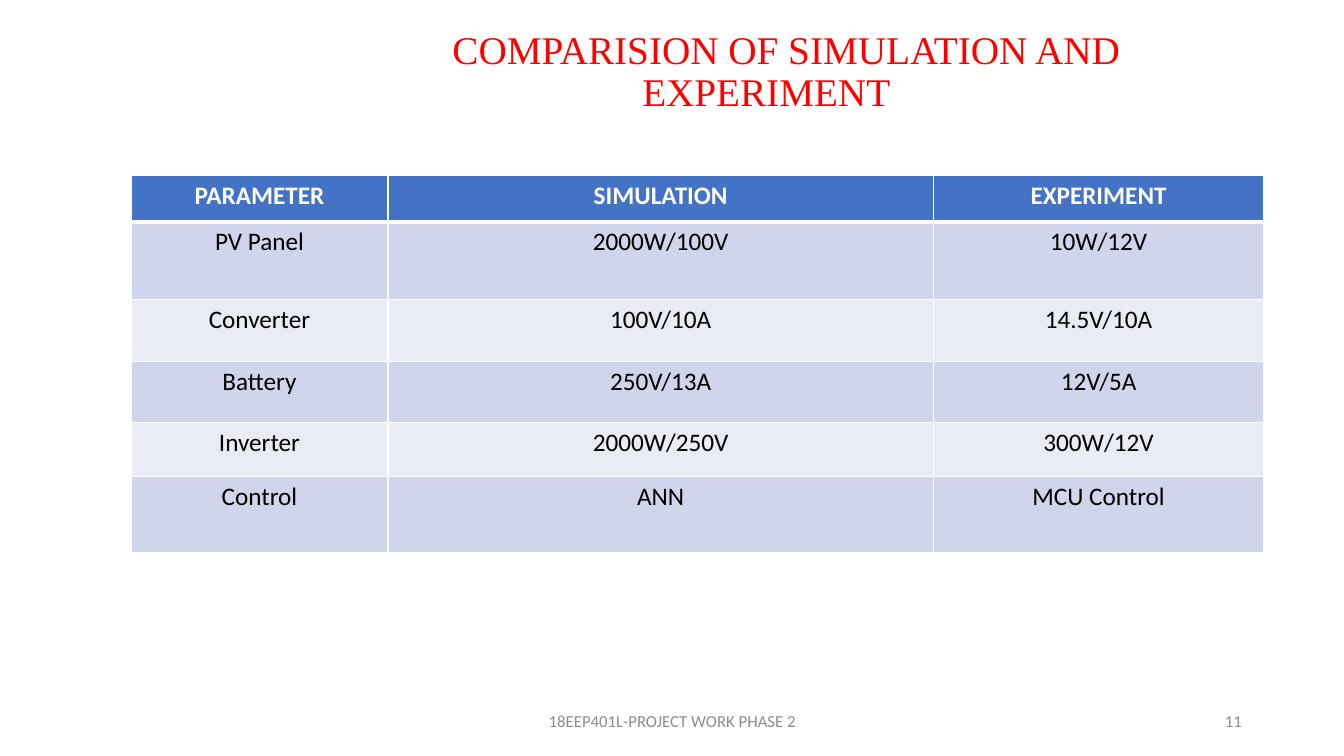
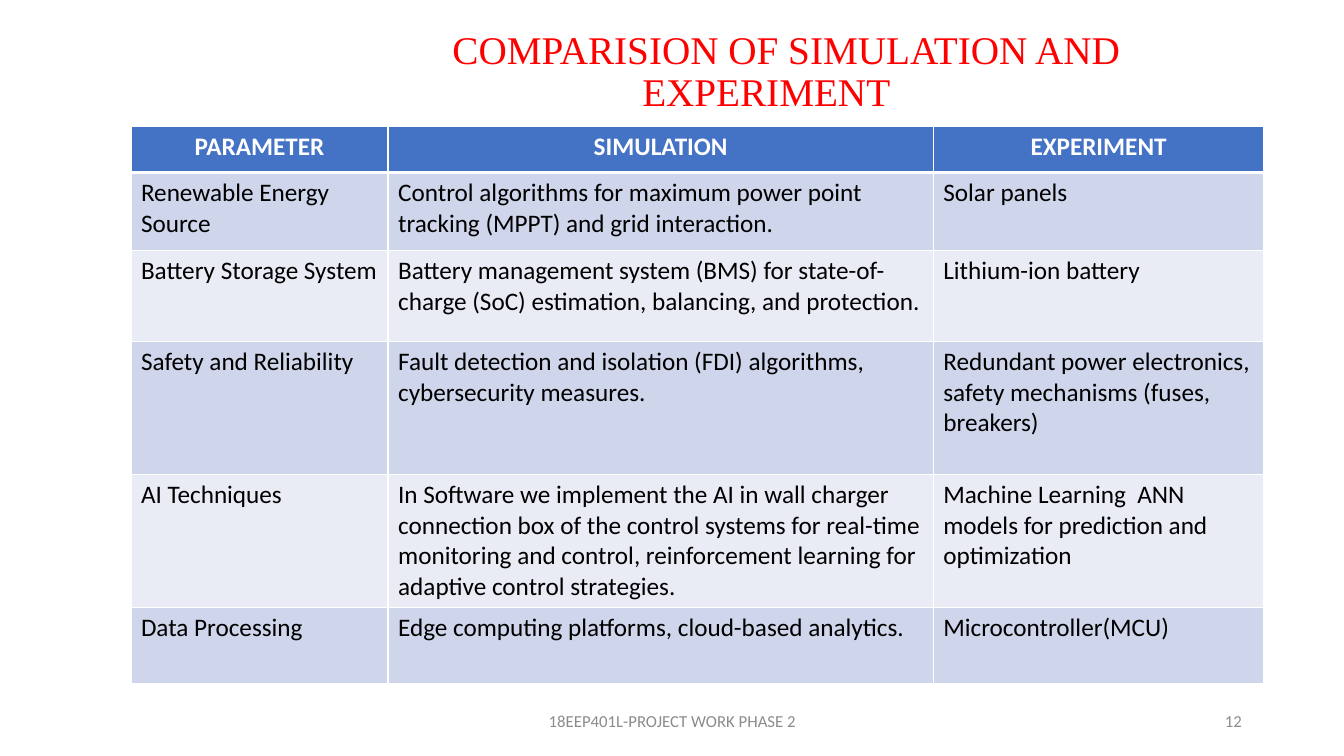
import pptx
import pptx.util
import pptx.dml.color
import pptx.enum.text
import pptx.oxml

Cm, Pt = pptx.util.Cm, pptx.util.Pt
ALIGN = pptx.enum.text.PP_ALIGN
MID = pptx.enum.text.MSO_ANCHOR.MIDDLE

# Content
TITLE = "COMPARISION OF SIMULATION AND EXPERIMENT"
FOOTER = "18EEP401L-PROJECT WORK PHASE 2"
HEAD = ("PARAMETER", "SIMULATION", "EXPERIMENT")
SLIDES = [
    {
        "page": 11,
        "top": 4.42,
        "align": ALIGN.CENTER,
        "heights": (1.17, 1.96, 1.55, 1.55, 1.35, 1.93),
        "rows": [
            ("PV Panel", "2000W/100V", "10W/12V"),
            ("Converter", "100V/10A", "14.5V/10A"),
            ("Battery", "250V/13A", "12V/5A"),
            ("Inverter", "2000W/250V", "300W/12V"),
            ("Control", "ANN", "MCU Control"),
        ],
    },
    {
        "page": 12,
        "top": 3.18,
        "align": ALIGN.LEFT,
        "heights": (1.17, 1.96, 2.29, 3.35, 3.35, 1.93),
        "rows": [
            ("Renewable Energy Source",
             "Control algorithms for maximum power point tracking (MPPT) "
             "and grid interaction.",
             "Solar panels"),
            ("Battery Storage System",
             "Battery management system (BMS) for state-of-charge (SoC) "
             "estimation, balancing, and protection.",
             "Lithium-ion battery"),
            ("Safety and Reliability",
             "Fault detection and isolation (FDI) algorithms, "
             "cybersecurity measures.",
             "Redundant power electronics, safety mechanisms "
             "(fuses, breakers)"),
            ("AI Techniques",
             "In Software we implement the AI in wall charger connection box "
             "of the control systems for real-time monitoring and control, "
             "reinforcement learning for adaptive control strategies.",
             "Machine Learning  ANN models for prediction and optimization"),
            ("Data Processing",
             "Edge computing platforms, cloud-based analytics.",
             "Microcontroller(MCU)"),
        ],
    },
]

# Shared style
COLORS = {"title": "FF0000", "foot": "8C8C8C", "head": "4472C4",
          "odd": "CFD5EA", "even": "E9EBF5", "line": "FFFFFF",
          "light": "FFFFFF", "text": "000000"}
SANS, SERIF = "Calibri", "Times New Roman"
WIDTHS = (6.48, 13.74, 8.33)
LEFT = 3.3


def rgb(name):
    return pptx.dml.color.RGBColor.from_string(COLORS[name])


def style(para, size, color, align, face=SANS, bold=False):
    para.alignment = align
    for run in para.runs:
        font = run.font
        font.name, font.size, font.bold = face, Pt(size), bold
        font.color.rgb = rgb(color)


def add_title(slide):
    title = slide.shapes.title
    title.left, title.top = Cm(7.37), Cm(0)
    title.width, title.height = Cm(23.88), Cm(3.68)
    frame = title.text_frame
    frame.text = TITLE
    frame.auto_size = pptx.enum.text.MSO_AUTO_SIZE.NONE
    frame.vertical_anchor = MID
    para = frame.paragraphs[0]
    para.line_spacing = 0.9
    # First line sits slightly right of centre
    props = para._p.get_or_add_pPr()
    props.set("marL", "0")
    props.set("indent", str(Cm(1)))
    style(para, 28, "title", ALIGN.CENTER, SERIF)


def add_foot(slide, text, left, width, align):
    box = slide.shapes.add_textbox(Cm(left), Cm(17.65), Cm(width), Cm(1.02))
    frame = box.text_frame
    frame.word_wrap = True
    frame.vertical_anchor = MID
    frame.text = text
    style(frame.paragraphs[0], 12, "foot", align)


def add_edges(cell, row):
    props = cell._tc.get_or_add_tcPr()
    thick = {(0, "B"), (1, "T")}
    for side in "LRTB":
        width = Pt(3 if (row, side) in thick else 1)
        props.append(pptx.oxml.parse_xml(
            f'<a:ln{side} xmlns:a="http://schemas.openxmlformats.org/'
            f'drawingml/2006/main" w="{width}"><a:solidFill>'
            f'<a:srgbClr val="{COLORS["line"]}"/></a:solidFill></a:ln{side}>'))


def add_grid(slide, data):
    rows = [HEAD] + data["rows"]
    grid = slide.shapes.add_table(
        len(rows), len(HEAD), Cm(LEFT), Cm(data["top"]),
        Cm(sum(WIDTHS)), Cm(sum(data["heights"]))).table
    for col, width in zip(grid.columns, WIDTHS):
        col.width = Cm(width)
    for r, (texts, height) in enumerate(zip(rows, data["heights"])):
        grid.rows[r].height = Cm(height)
        top = r == 0
        fill = "head" if top else "odd" if r % 2 else "even"
        for c, text in enumerate(texts):
            cell = grid.cell(r, c)
            add_edges(cell, r)
            cell.fill.solid()
            cell.fill.fore_color.rgb = rgb(fill)
            cell.text_frame.text = text
            style(cell.text_frame.paragraphs[0], 18,
                  "light" if top else "text",
                  ALIGN.CENTER if top else data["align"], bold=top)


def main():
    prs = pptx.Presentation()
    prs.slide_width, prs.slide_height = Cm(33.87), Cm(19.05)
    for data in SLIDES:
        slide = prs.slides.add_slide(prs.slide_layouts[5])
        add_title(slide)
        add_foot(slide, FOOTER, 11.23, 11.43, ALIGN.CENTER)
        add_foot(slide, str(data["page"]), 23.93, 7.62, ALIGN.RIGHT)
        add_grid(slide, data)
    prs.save("out.pptx")


if __name__ == "__main__":
    main()
